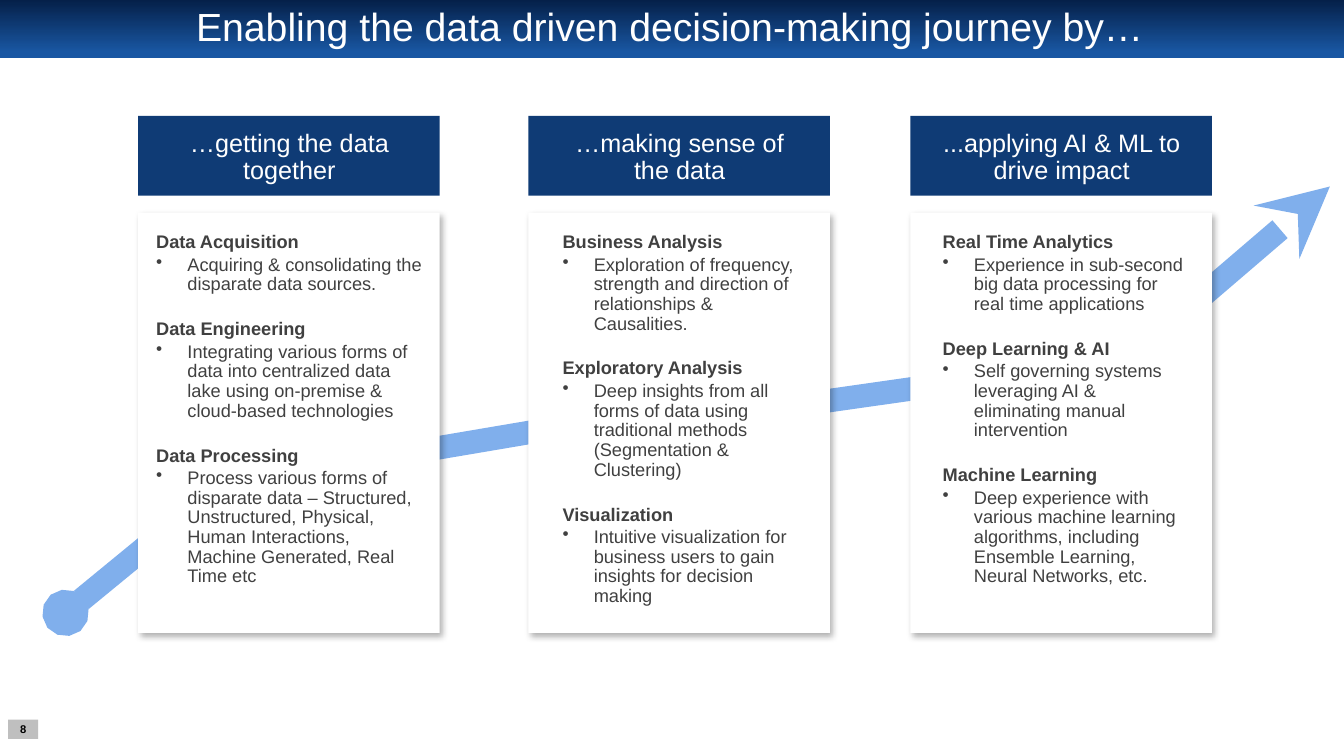
import pptx
import pptx.util
import pptx.dml.color
import pptx.enum.shapes
import pptx.enum.text
import pptx.oxml
import pptx.oxml.ns

Inches = pptx.util.Inches
Pt = pptx.util.Pt
RGBColor = pptx.dml.color.RGBColor
PP_ALIGN = pptx.enum.text.PP_ALIGN
RECTANGLE = pptx.enum.shapes.MSO_SHAPE.RECTANGLE
NSDECLS = pptx.oxml.ns.nsdecls("a")

WHITE = RGBColor(0xFF, 0xFF, 0xFF)
BLACK = RGBColor(0x00, 0x00, 0x00)
DARK_GREY = RGBColor(0x40, 0x40, 0x40)
LIGHT_GREY = RGBColor(0xBF, 0xBF, 0xBF)
NAVY = RGBColor(0x0F, 0x3B, 0x75)
BAR_TOP = RGBColor(0x05, 0x20, 0x49)
BAR_BOTTOM = RGBColor(0x19, 0x57, 0xA3)
JOURNEY_BLUE = RGBColor(0x80, 0xAF, 0xEC)


def block(left, top, width, height, fill=None):
    shape = slide.shapes.add_shape(
        RECTANGLE, Inches(left), Inches(top), Inches(width), Inches(height))
    shape.shadow.inherit = False
    shape.line.fill.background()
    if fill is not None:
        shape.fill.solid()
        shape.fill.fore_color.rgb = fill
    return shape


def write(frame, text, size=13, color=DARK_GREY, bold=False, align=PP_ALIGN.LEFT,
          before=0, after=0, spacing=0.9, bullet=False):
    paragraph = frame.paragraphs[0]
    if paragraph.runs:
        paragraph = frame.add_paragraph()
    if bullet:
        properties = paragraph._p.get_or_add_pPr()
        properties.set("marL", str(Inches(0.31)))
        properties.set("indent", str(-Inches(0.31)))
        properties.append(pptx.oxml.parse_xml(f'<a:buChar {NSDECLS} char="•"/>'))
    paragraph.alignment = align
    paragraph.line_spacing = spacing
    paragraph.space_before = Pt(before)
    paragraph.space_after = Pt(after)
    run = paragraph.add_run()
    run.text = text
    run.font.name = "Arial"
    run.font.size = Pt(size)
    run.font.bold = bold
    run.font.color.rgb = color


presentation = pptx.Presentation()
presentation.slide_width = Inches(13.33)
presentation.slide_height = Inches(7.5)
slide = presentation.slides.add_slide(presentation.slide_layouts[6])

title_bar = block(0, 0, 13.33, 0.58)
title_bar.fill.gradient()
title_bar.fill.gradient_angle = 270
for stop, color, position in zip(
        title_bar.fill.gradient_stops, (BAR_TOP, BAR_BOTTOM), (0, 0.9)):
    stop.color.rgb = color
    stop.position = position

title = slide.shapes.add_textbox(Inches(0.66), Inches(0.06), Inches(11.96), Inches(0.45))
title.text_frame.word_wrap = True
title.text_frame.vertical_anchor = pptx.enum.text.MSO_ANCHOR.MIDDLE
write(title.text_frame, "Enabling the data driven decision-making journey by…",
      size=28, color=WHITE, align=PP_ALIGN.CENTER)

page_number = block(0.08, 7.14, 0.3, 0.19, LIGHT_GREY).text_frame
page_number.margin_left = page_number.margin_right = 0
page_number.margin_top = page_number.margin_bottom = 0
page_number.word_wrap = False
page_number.vertical_anchor = pptx.enum.text.MSO_ANCHOR.MIDDLE
write(page_number, "8", size=8, color=BLACK, bold=True, align=PP_ALIGN.CENTER, spacing=1.0)

journey = [
    ((0.65, 6.08), (2.83, 4.29), '<a:headEnd {} type="oval" w="sm" len="sm"/>'),
    ((2.89, 4.69), (6.43, 4.09), None),
    ((6.43, 4.23), (10.29, 3.68), None),
    ((13.19, 1.85), (10.46, 4.19), '<a:headEnd {} type="stealth" w="med" len="med"/>'),
]
for start, end, line_end in journey:
    leg = slide.shapes.add_connector(
        pptx.enum.shapes.MSO_CONNECTOR.STRAIGHT, *map(Inches, start + end))
    leg.line.width = Pt(16.75)
    leg.line.color.rgb = JOURNEY_BLUE
    if line_end:
        leg.line._get_or_add_ln().append(pptx.oxml.parse_xml(line_end.format(NSDECLS)))
    leg._element.spPr.append(pptx.oxml.parse_xml(f"<a:effectLst {NSDECLS}/>"))

stages = [
    (1.37, 1.47, 2.8, "…getting the data together", [
        ("Data Acquisition", "Acquiring & consolidating the disparate data sources."),
        ("Data Engineering", "Integrating various forms of data into centralized data "
         "lake using on-premise & cloud-based technologies"),
        ("Data Processing", "Process various forms of disparate data – Structured, "
         "Unstructured, Physical, Human Interactions, Machine Generated, Real Time etc"),
    ]),
    (5.24, 5.5, 2.6, "…making sense of the data", [
        ("Business Analysis", "Exploration of frequency, strength and direction of "
         "relationships & Causalities."),
        ("Exploratory Analysis", "Deep insights from all forms of data using "
         "traditional methods (Segmentation & Clustering)"),
        ("Visualization", "Intuitive visualization for business users to gain "
         "insights for decision making"),
    ]),
    (9.03, 9.27, 2.55, "...applying AI & ML to drive impact", [
        ("Real Time Analytics", "Experience in sub-second big data processing for "
         "real time applications"),
        ("Deep Learning & AI", "Self governing systems leveraging AI & eliminating "
         "manual intervention"),
        ("Machine Learning", "Deep experience with various machine learning "
         "algorithms, including Ensemble Learning, Neural Networks, etc."),
    ]),
]
for left, topics_left, topics_width, heading, topics in stages:
    card = block(left, 2.11, 2.99, 4.17, WHITE)
    card._element.spPr.find(pptx.oxml.ns.qn("a:effectLst")).append(pptx.oxml.parse_xml(
        f'<a:outerShdw {NSDECLS} blurRad="{Pt(4.5)}" dist="{Pt(2.6)}" dir="{53 * 60000}" '
        'algn="tl" rotWithShape="0"><a:srgbClr val="000000"><a:alpha val="30000"/>'
        '</a:srgbClr></a:outerShdw>'))
    block(left, 1.15, 2.99, 0.79, NAVY)

    banner = slide.shapes.add_textbox(
        Inches(left + 0.2), Inches(1.25), Inches(2.6), Inches(0.65)).text_frame
    banner.word_wrap = True
    write(banner, heading, size=18, color=WHITE, align=PP_ALIGN.CENTER)

    details = slide.shapes.add_textbox(
        Inches(topics_left), Inches(2.23), Inches(topics_width), Inches(3.77)).text_frame
    details.word_wrap = True
    details.margin_left = details.margin_right = Inches(0.08)
    details.margin_top = details.margin_bottom = Inches(0.08)
    for number, (topic, description) in enumerate(topics):
        write(details, topic, bold=True, before=16 if number else 0, after=2)
        write(details, description, bullet=True, after=2)

presentation.save("out.pptx")
